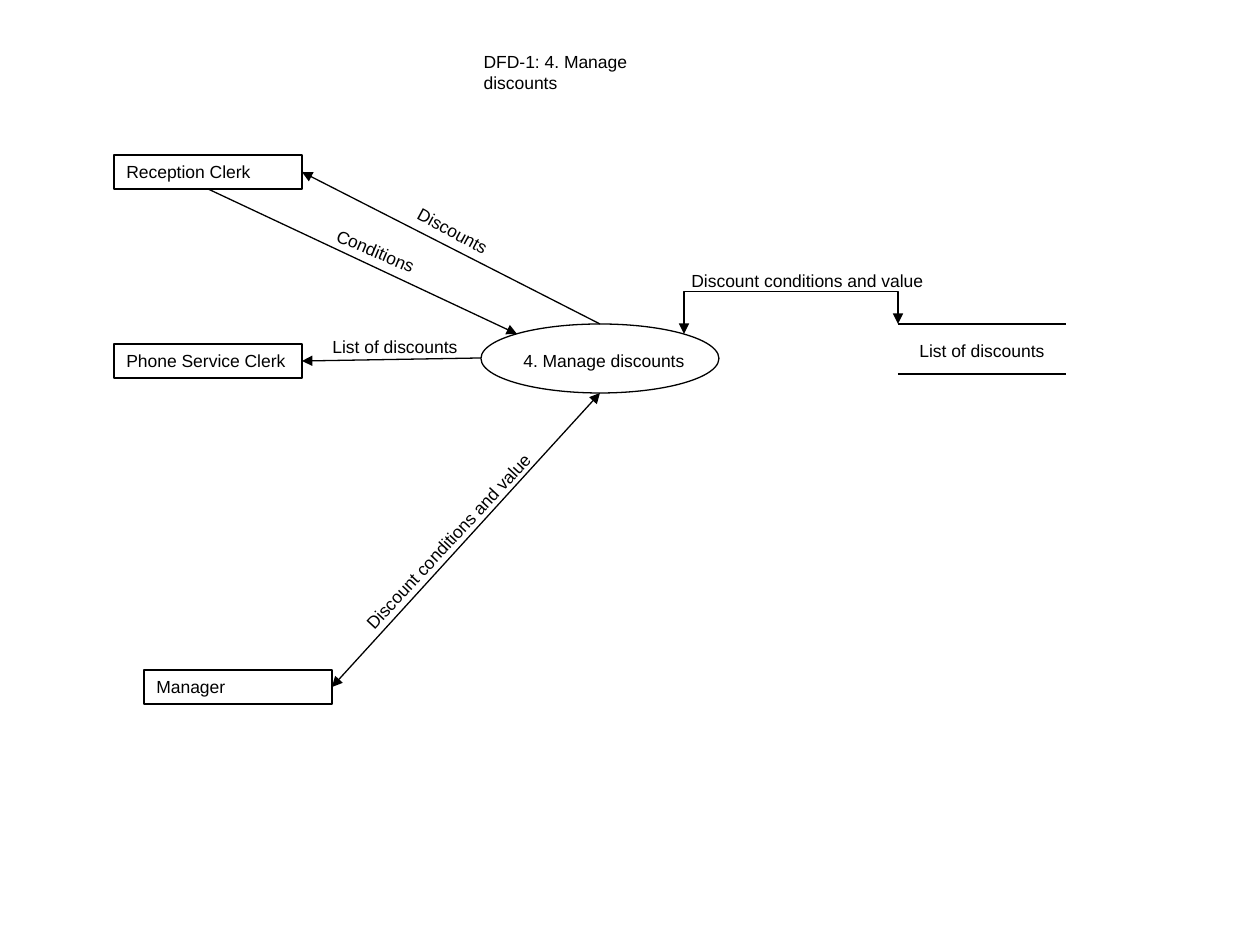
from dataclasses import dataclass
from typing import Optional

from lxml import etree
from pptx import Presentation
from pptx import util as u
from pptx.dml.color import RGBColor
from pptx.enum import shapes, text
from pptx.oxml.ns import qn

PX_PER_INCH = 126
BLACK = RGBColor(0, 0, 0)
FONT = {"name": "Arial", "size": u.Pt(10), "bold": False}
FRAME = {
    "margin_left": u.Inches(0.1), "margin_right": u.Inches(0.1),
    "margin_top": u.Inches(0.05), "margin_bottom": u.Inches(0.05),
    "vertical_anchor": text.MSO_ANCHOR.TOP,
    "auto_size": text.MSO_AUTO_SIZE.NONE, "word_wrap": False,
}
TEXT_HEIGHT = 34
ENTITY_WIDTH = 188
TOP, LEFT, BOTTOM, RIGHT = range(4)


@dataclass(frozen=True)
class Entity:
    name: str
    left: int
    top: int


@dataclass(frozen=True)
class Label:
    words: str
    left: int
    top: int
    width: int
    rotation: float = 0


@dataclass(frozen=True)
class Flow:
    """A straight line; an entity and side, where given, fix that end."""
    begin: tuple[int, int]
    end: tuple[int, int]
    arrows: tuple[str, ...] = ()
    begin_at: Optional[tuple[str, int]] = None
    end_at: Optional[tuple[str, int]] = None


ENTITIES = [
    Entity("Reception Clerk", 114, 155),
    Entity("Phone Service Clerk", 114, 344),
    Entity("Manager", 144, 670),
]
PROCESS = (481, 324, 238, 69)
TITLE = Label("DFD-1: 4. Manage discounts", 471, 45, 247)
LABELS = [
    Label("4. Manage discounts", 511, 344, 188),
    Label("List of discounts", 907, 334, 150),
    Label("List of discounts", 320, 330, 150),
    Label("Conditions", 322, 234, 107, 22.9),
    Label("Discounts", 402, 214, 102, 28.6),
    Label("Discount conditions and value", 320, 524, 257, 312.9),
    Label("Discount conditions and value", 679, 264, 257),
]
FLOWS = [
    Flow((898, 324), (1066, 324)),
    Flow((898, 374), (1066, 374)),
    Flow((481, 358), (302, 361), ("tailEnd",),
         end_at=("Phone Service Clerk", RIGHT)),
    Flow((208, 189), (517, 334), ("tailEnd",),
         begin_at=("Reception Clerk", BOTTOM)),
    Flow((600, 324), (302, 172), ("tailEnd",),
         end_at=("Reception Clerk", RIGHT)),
    Flow((332, 687), (600, 393), ("headEnd", "tailEnd"),
         begin_at=("Manager", RIGHT)),
]
STORE_FLOW_BEGIN, STORE_FLOW_END, STORE_FLOW_CREST = (684, 334), (898, 324), 292


def px(length: float) -> u.Emu:
    return u.Inches(length / PX_PER_INCH)


def place(shape, *box: float) -> None:
    for side, length in zip(("left", "top", "width", "height"), box):
        setattr(shape, side, px(length))


def write(shape, words: str) -> None:
    frame = shape.text_frame
    for key, value in FRAME.items():
        setattr(frame, key, value)
    paragraph = frame.paragraphs[0]
    paragraph.alignment = text.PP_ALIGN.LEFT
    run = paragraph.add_run()
    run.text = words
    for key, value in FONT.items():
        setattr(run.font, key, value)
    run.font.color.rgb = BLACK


def ink(shape) -> None:
    shape.line.color.rgb = BLACK
    shape.line.width = u.Pt(0.75)


def draw_outline(slide, kind, *box: int):
    shape = slide.shapes.add_shape(kind, *map(px, box))
    shape.shadow.inherit = False
    shape.fill.background()
    ink(shape)
    return shape


def draw_entity(slide, entity: Entity):
    shape = draw_outline(slide, shapes.MSO_SHAPE.RECTANGLE, entity.left,
                         entity.top, ENTITY_WIDTH, TEXT_HEIGHT)
    write(shape, entity.name)
    return shape


def draw_label(slide, label: Label) -> None:
    box = slide.shapes.add_textbox(
        *map(px, (label.left, label.top, label.width, TEXT_HEIGHT)))
    box.rotation = label.rotation
    write(box, label.words)


def draw_connector(slide, kind, begin, end, arrows: tuple[str, ...]):
    connector = slide.shapes.add_connector(kind, *map(px, (*begin, *end)))
    ink(connector)
    for arrow in arrows:
        etree.SubElement(connector.line._get_or_add_ln(), qn(f"a:{arrow}"),
                         type="triangle")
    etree.SubElement(connector._element.spPr, qn("a:effectLst"))
    return connector


def draw_flow(slide, flow: Flow, entities: dict) -> None:
    line = draw_connector(slide, shapes.MSO_CONNECTOR.STRAIGHT,
                          flow.begin, flow.end, flow.arrows)
    for join, joint in ((line.begin_connect, flow.begin_at),
                        (line.end_connect, flow.end_at)):
        if joint:
            name, side = joint
            join(entities[name], side)


def draw_store_flow(slide) -> None:
    """Draw the elbow that rises from the process and drops to the store."""
    (x1, y1), (x2, y2) = STORE_FLOW_BEGIN, STORE_FLOW_END
    elbow = draw_connector(slide, shapes.MSO_CONNECTOR.ELBOW, STORE_FLOW_BEGIN,
                           STORE_FLOW_END, ("headEnd", "tailEnd"))
    # A quarter turn swaps width and height about the same centre.
    width, height = y1 - y2, x2 - x1
    place(elbow, (x1 + x2 - width) / 2, (y1 + y2 - height) / 2, width, height)
    properties = elbow._element.spPr
    transform = properties.find(qn("a:xfrm"))
    for key, value in {"rot": "5400000", "flipH": "1", "flipV": "1"}.items():
        transform.set(key, value)
    bend = round((y1 - STORE_FLOW_CREST) / width * 100000)
    guides = properties.find(qn("a:prstGeom")).find(qn("a:avLst"))
    etree.SubElement(guides, qn("a:gd"), name="adj1", fmla=f"val {bend}")


def main() -> None:
    deck = Presentation()
    deck.slide_width, deck.slide_height = px(1260), px(945)
    slide = deck.slides.add_slide(deck.slide_layouts[5])

    title = slide.shapes.title
    place(title, TITLE.left, TITLE.top, TITLE.width, TEXT_HEIGHT)
    write(title, TITLE.words)

    entities = {entity.name: draw_entity(slide, entity) for entity in ENTITIES}
    draw_outline(slide, shapes.MSO_SHAPE.OVAL, *PROCESS)
    for flow in FLOWS:
        draw_flow(slide, flow, entities)
    draw_store_flow(slide)
    for label in LABELS:
        draw_label(slide, label)

    deck.save("out.pptx")


if __name__ == "__main__":
    main()
